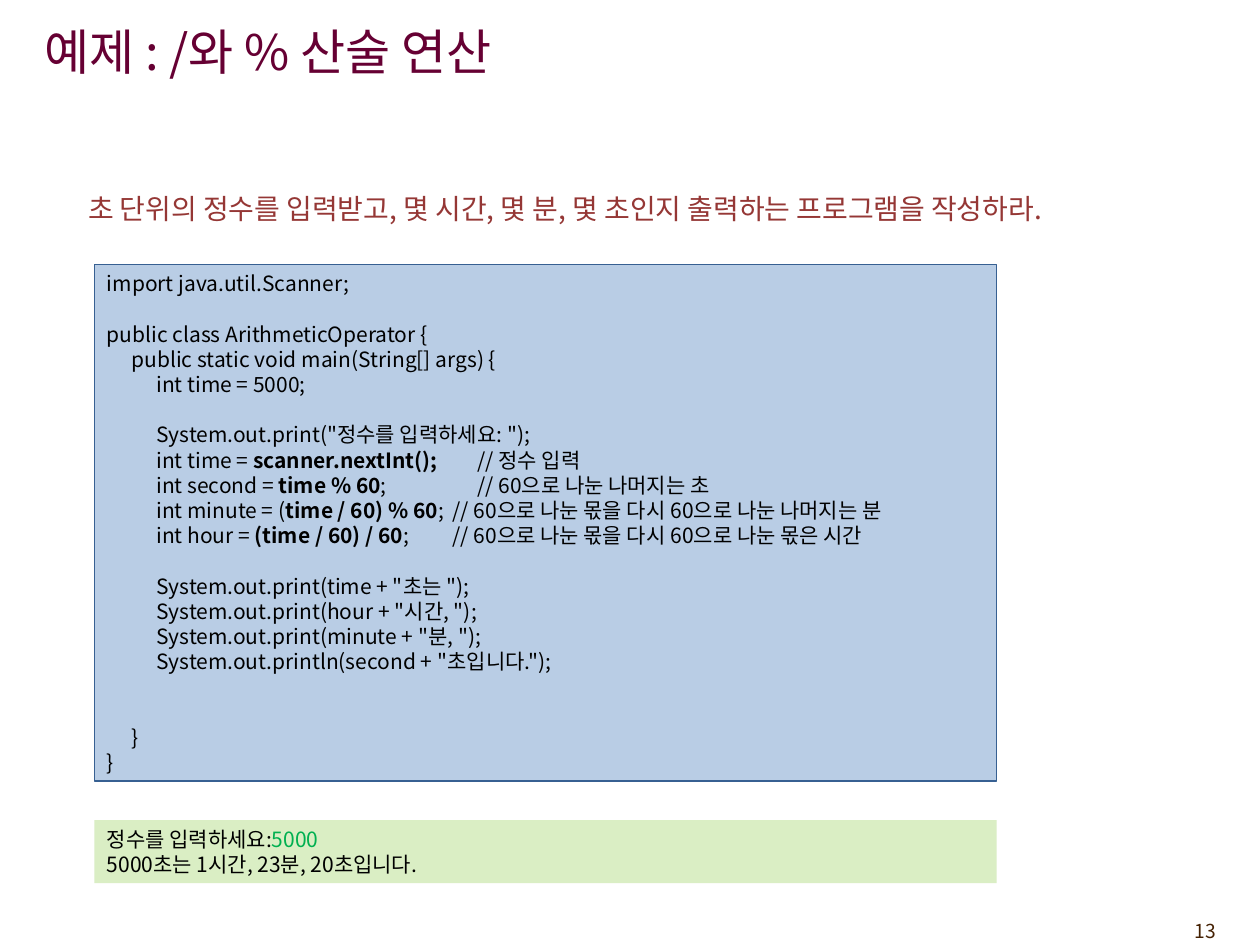
from lxml import etree
from pptx import Presentation
from pptx.dml.color import RGBColor
from pptx.enum.shapes import MSO_SHAPE
from pptx.enum.text import MSO_ANCHOR, MSO_AUTO_SIZE, PP_ALIGN
from pptx.oxml.ns import qn
from pptx.util import Inches, Pt

RECTANGLE = MSO_SHAPE.RECTANGLE
MIDDLE, TOP = MSO_ANCHOR.MIDDLE, MSO_ANCHOR.TOP
LEFT, RIGHT = PP_ALIGN.LEFT, PP_ALIGN.RIGHT
NO_AUTOFIT = MSO_AUTO_SIZE.NONE

FONT = "Noto Sans CJK KR"
COLORS = {
    "title": "660033",
    "task": "953735",
    "text": "000000",
    "input": "00B050",
    "code_fill": "B9CDE5",
    "code_line": "376092",
    "output_fill": "DAEEC4",
    "number": "452103",
}
TAB_STEP = Inches(0.98) // 5
TAB_COUNT = 16
MARK = "**"

CODE = """import java.util.Scanner;

public class ArithmeticOperator {
\tpublic static void main(String[] args) {
\t\tint time = 5000;

\t\tSystem.out.print("정수를 입력하세요: ");
\t\tint time = **scanner.nextInt(); \t\t**// 정수 입력
\t\tint second = **time % 60**; \t\t\t\t// 60으로 나눈 나머지는 초
\t\tint minute = (**time / 60) % 60**; \t// 60으로 나눈 몫을 다시 60으로 나눈 나머지는 분
\t\tint hour = **(time / 60) / 60**; \t\t// 60으로 나눈 몫을 다시 60으로 나눈 몫은 시간

\t\tSystem.out.print(time + "초는 ");
\t\tSystem.out.print(hour + "시간, ");
\t\tSystem.out.print(minute + "분, ");
\t\tSystem.out.println(second + "초입니다.");


\t}
}"""
OUTPUT = """정수를 입력하세요:**5000**
5000초는 1시간, 23분, 20초입니다."""


def rgb(name):
    """Return the named palette colour."""
    return RGBColor.from_string(COLORS[name])


def style_span(span, size, color, bold=False):
    """Format one run, for Latin and Korean letters alike."""
    font = span.font
    font.name, font.size, font.bold = FONT, Pt(size), bold
    font.color.rgb = rgb(color)
    etree.SubElement(font._element, qn("a:ea"), typeface=FONT)


def add_tabs(para):
    """Give a paragraph evenly spaced left tab stops."""
    tabs = etree.SubElement(para._p.get_or_add_pPr(), qn("a:tabLst"))
    for index in range(1, TAB_COUNT + 1):
        etree.SubElement(tabs, qn("a:tab"), pos=str(index * TAB_STEP), algn="l")


def write_lines(box, text, size, color, marked=None, bold=False,
                align=LEFT, anchor=TOP, tabs=False):
    """Write text line by line, with the marked parts emphasised."""
    frame = box.text_frame
    frame.word_wrap, frame.auto_size = True, NO_AUTOFIT
    frame.vertical_anchor = anchor
    frame.text = text.replace(MARK, "")
    for para, line in zip(frame.paragraphs, text.split("\n")):
        para.clear()
        para.alignment = align
        if tabs:
            add_tabs(para)
        if not line:
            etree.SubElement(para._p, qn("a:endParaRPr"), sz=str(size * 100))
            continue
        for index, part in enumerate(line.split(MARK)):
            if part:
                span = para.add_run()
                span.text = part
                emphasised = index % 2 == 1
                style_span(span, size, marked if emphasised else color,
                           bold and emphasised)


def add_title(page, text):
    """Place the title placeholder at the top left."""
    title = page.shapes.title
    title.left, title.top = Inches(0.25), Inches(0.09)
    title.width, title.height = Inches(8.27), Inches(0.63)
    write_lines(title, text, 28, "title", anchor=MIDDLE)


def add_label(page, place, text, size, color, align=LEFT):
    """Add a plain text box."""
    box = page.shapes.add_textbox(*map(Inches, place))
    write_lines(box, text, size, color, align=align)


def add_panel(page, top, height, fill, line=None):
    """Add a filled rectangle in the content column."""
    panel = page.shapes.add_shape(
        RECTANGLE, Inches(0.75), Inches(top), Inches(7.16), Inches(height))
    panel.shadow.inherit = False
    panel.fill.solid()
    panel.fill.fore_color.rgb = rgb(fill)
    if line:
        panel.line.color.rgb = rgb(line)
        panel.line.width = Pt(0.75)
    else:
        panel.line.fill.background()
    return panel


def main():
    """Build the slide and save it."""
    deck = Presentation()
    deck.slide_width, deck.slide_height = Inches(10), Inches(7.5)
    page = deck.slides.add_slide(deck.slide_layouts[5])
    add_title(page, "예제 : /와 % 산술 연산")
    add_label(page, (0.6, 1.47, 8.99, 0.37),
              "초 단위의 정수를 입력받고, 몇 시간, 몇 분, 몇 초인지 출력하는 프로그램을 작성하라.",
              16, "task")
    code = add_panel(page, 2.1, 4.1, "code_fill", "code_line")
    write_lines(code, CODE, 12, "text", marked="text", bold=True, tabs=True)
    output = add_panel(page, 6.51, 0.5, "output_fill")
    write_lines(output, OUTPUT, 12, "text", marked="input")
    add_label(page, (8.92, 7.25, 0.83, 0.29), "13", 11, "number", RIGHT)
    deck.save("out.pptx")


if __name__ == "__main__":
    main()
